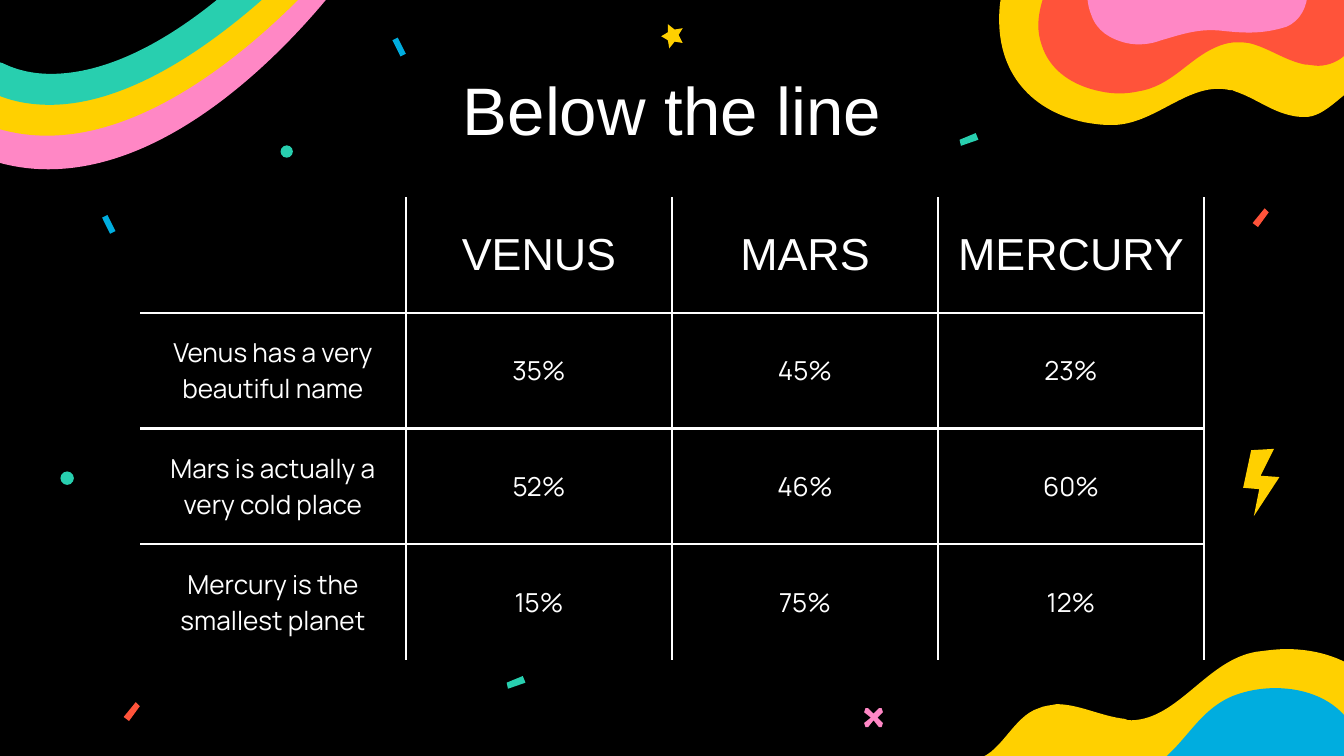
from dataclasses import dataclass

from lxml.etree import Element, SubElement
from pptx import Presentation
from pptx.dml.color import RGBColor
from pptx.enum.shapes import MSO_SHAPE
from pptx.enum.text import MSO_ANCHOR, PP_ALIGN
from pptx.oxml.ns import qn
from pptx.util import Pt


@dataclass(frozen=True)
class Theme:
    background: str = "000000"
    text: str = "FFFFFF"
    pink: str = "FF87C5"
    yellow: str = "FFD000"
    green: str = "28CFAF"
    blue: str = "00ADDF"
    red: str = "FF533A"
    heading_font: str = "Arial"
    body_font: str = "Manrope"
    title_size: float = 36
    heading_size: float = 24
    body_size: float = 14
    rule_width: float = 1.5
    inset: float = 7.2


THEME = Theme()
GRID = 0.72

RAINBOW = [
    (THEME.pink, [(226, -30), (151, 73, 84, 99, 36, 99), (2, 99, -23, 86, -34, 78),
                  (-40, 75, -44, 75, -49, 80), (-55, 85, -55, 94, -48, 98),
                  (-20, 118, 8, 126, 36, 126), (157, 126, 262, -25, 262, -25)]),
    (THEME.yellow, [(231, -60), (144, 50, 75, 74, 31, 74), (8, 74, -8, 67, -17, 63),
                    (-22, 60, -26, 61, -30, 64), (-37, 70, -36, 79, -29, 84),
                    (-8, 96, 14, 101, 35, 101), (153, 101, 269, -53, 269, -53)]),
    (THEME.green, [(243, -82), (147, 32, 78, 55, 38, 55), (20, 55, 8, 50, 2, 47),
                   (-3, 45, -7, 46, -11, 49), (-18, 54, -16, 65, -8, 68),
                   (6, 75, 21, 78, 37, 78), (147, 78, 270, -78, 270, -78)]),
]
LOWER_WAVES = [
    (THEME.yellow, [(1019, 635), (1009, 636, 982, 626, 975, 624), (960, 622, 946, 621, 932, 621),
                    (913, 621, 895, 623, 876, 627), (854, 631, 834, 635, 812, 635),
                    (791, 634, 761, 635, 752, 626), (724, 565),
                    (744, 564, 753, 533, 773, 527), (777, 525, 782, 525, 786, 524),
                    (803, 524, 819, 533, 837, 535), (838, 536, 840, 536, 842, 536),
                    (877, 535, 898, 491, 935, 485), (943, 484, 950, 483, 957, 483),
                    (1005, 483, 1042, 512, 1047, 567), (1049, 584, 1043, 629, 1022, 635)]),
    (THEME.blue, [(1011, 657), (761, 656), (735, 635, 735, 579, 771, 571),
                  (775, 570, 779, 570, 783, 570), (801, 570, 818, 577, 834, 577),
                  (843, 577, 851, 575, 860, 569), (882, 554, 891, 529, 917, 518),
                  (927, 514, 938, 512, 949, 512), (971, 512, 994, 520, 1006, 540),
                  (1019, 561, 1011, 585, 1008, 607), (1006, 621, 1003, 646, 1011, 657)]),
]
UPPER_WAVES = [
    (THEME.yellow, [(780, -51), (789, -49, 810, -36, 817, -33), (828, -29, 840, -25, 853, -23),
                    (869, -20, 885, -18, 902, -18), (921, -18, 939, -17, 958, -14),
                    (976, -9, 1002, -4, 1008, 5), (1021, 62),
                    (1004, 60, 991, 85, 973, 87), (968, 87, 965, 87, 961, 86),
                    (946, 83, 934, 73, 919, 68), (918, 67, 916, 67, 915, 67),
                    (884, 60, 859, 94, 826, 93), (819, 93, 813, 92, 807, 91),
                    (765, 82, 739, 51, 744, 3), (746, -12, 759, -49, 777, -51)]),
    (THEME.red, [(791, -68), (1006, -23), (1024, 0, 1014, 48, 981, 49),
                 (978, 49, 974, 48, 971, 48), (956, 45, 943, 35, 929, 32),
                 (921, 31, 914, 31, 905, 35), (884, 44, 872, 64, 847, 68),
                 (838, 70, 828, 70, 819, 68), (799, 64, 781, 53, 775, 33),
                 (768, 13, 778, -6, 785, -25), (789, -36, 796, -57, 791, -68)]),
    (THEME.pink, [(806, -87), (964, -39), (976, -23, 979, 11, 957, 20),
                  (941, 25, 928, 25, 910, 23), (893, 21, 881, 25, 864, 30),
                  (856, 33, 847, 34, 838, 32), (826, 29, 816, 23, 812, 11),
                  (807, -1, 809, -16, 813, -28), (820, -47, 819, -69, 806, -87)]),
]
SYMBOLS = [
    (THEME.yellow, [(497, 18), (497, 24), (492, 27), (497, 30), (498, 36),
                    (502, 31), (508, 32), (505, 26), (508, 21), (502, 22)]),
    (THEME.pink, [(646, 527), (644, 527), (643, 530), (648, 534), (643, 538), (644, 541),
                  (646, 541), (650, 536), (654, 541), (656, 541), (657, 538), (653, 534),
                  (657, 530), (656, 527), (654, 527), (650, 531)]),
    (THEME.yellow, [(948, 334), (931, 335), (925, 363), (937, 364), (933, 384),
                    (952, 355), (938, 354)]),
]
STRIPS = [
    (THEME.blue, [(4, 0), (0, 2), (6, 14), (10, 12)], [(76, 160), (292, 28)]),
    (THEME.red, [(9, 0), (0, 11), (4, 14), (12, 3)], [(932, 155), (92, 522.5)]),
    (THEME.green, [(12, 0), (0, 5), (1, 9.5), (14, 5)], [(377, 503), (714, 99)]),
]
DOTS = [(32.4, 252.6, 7.2), (150.3, 77.9, 6.6)]
ROWS = [
    ["", "VENUS", "MARS", "MERCURY"],
    ["Venus has a very beautiful name", "35%", "45%", "23%"],
    ["Mars is actually a very cold place", "52%", "46%", "60%"],
    ["Mercury is the smallest planet", "15%", "75%", "12%"],
]


def color(value):
    return RGBColor.from_string(value)


def paint(shape, fill_color):
    shape.shadow.inherit = False
    shape.fill.solid()
    shape.fill.fore_color.rgb = color(fill_color)
    shape.line.fill.background()


def bend_segments(shape, segments):
    lines = iter(list(shape._element.iter(qn("a:lnTo"))))
    for segment in segments:
        first = next(lines)
        if len(segment) == 2:
            continue
        curve = Element(qn("a:cubicBezTo"))
        first.addprevious(curve)
        for line in (first, next(lines), next(lines)):
            curve.append(line[0])
            line.getparent().remove(line)


def add_outline(slide, fill_color, outline):
    points = [(Pt(GRID * segment[index]), Pt(GRID * segment[index + 1]))
              for segment in outline for index in range(0, len(segment), 2)]
    builder = slide.shapes.build_freeform(*points[0])
    builder.add_line_segments(points[1:], close=True)
    shape = builder.convert_to_shape()
    bend_segments(shape, outline[1:])
    paint(shape, fill_color)


def add_strips(slide, fill_color, corners, origins):
    for left, top in origins:
        add_outline(slide, fill_color, [(left + x, top + y) for x, y in corners])


def add_dot(slide, left, top, size):
    paint(slide.shapes.add_shape(MSO_SHAPE.OVAL, Pt(left), Pt(top), Pt(size), Pt(size)), THEME.green)


def write(paragraph, text, font_name, size):
    paragraph.text = text
    paragraph.alignment = PP_ALIGN.CENTER
    paragraph.font.name = font_name
    paragraph.font.size = Pt(size)
    paragraph.font.bold = False
    paragraph.font.color.rgb = color(THEME.text)


def set_insets(target):
    target.margin_left = target.margin_right = Pt(THEME.inset)
    target.margin_top = target.margin_bottom = Pt(THEME.inset)
    target.vertical_anchor = MSO_ANCHOR.MIDDLE


def set_title(slide, text):
    title = slide.shapes.title
    title.left, title.top, title.width, title.height = Pt(56.2), Pt(35.3), Pt(607.7), Pt(45.4)
    set_insets(title.text_frame)
    write(title.text_frame.paragraphs[0], text, THEME.heading_font, THEME.title_size)


def set_borders(cell, visible):
    properties = cell._tc.get_or_add_tcPr()
    for side in "LRTB":
        line = SubElement(properties, qn(f"a:ln{side}"), w=str(Pt(THEME.rule_width)))
        if side in visible:
            fill = SubElement(line, qn("a:solidFill"))
            SubElement(fill, qn("a:srgbClr"), val=THEME.text)
        else:
            SubElement(line, qn("a:noFill"))


def add_planet_table(slide):
    row_count, column_count = len(ROWS), len(ROWS[0])
    table = slide.shapes.add_table(row_count, column_count, Pt(75), Pt(105.6),
                                   Pt(142.5 * column_count), Pt(62 * row_count)).table
    table.first_row = table.horz_banding = False
    for row, texts in enumerate(ROWS):
        font = (THEME.body_font, THEME.body_size) if row else (THEME.heading_font, THEME.heading_size)
        for column, text in enumerate(texts):
            cell = table.cell(row, column)
            set_insets(cell)
            set_borders(cell, "R" + "L" * (column > 0) + "T" * (row > 0) + "B" * (row < row_count - 1))
            cell.fill.background()
            if text:
                write(cell.text_frame.paragraphs[0], text, *font)


def main():
    presentation = Presentation()
    presentation.slide_width, presentation.slide_height = Pt(720), Pt(405)
    slide = presentation.slides.add_slide(presentation.slide_layouts[5])
    slide.background.fill.solid()
    slide.background.fill.fore_color.rgb = color(THEME.background)
    for fill_color, outline in RAINBOW + LOWER_WAVES + UPPER_WAVES + SYMBOLS:
        add_outline(slide, fill_color, outline)
    for fill_color, corners, origins in STRIPS:
        add_strips(slide, fill_color, corners, origins)
    for left, top, size in DOTS:
        add_dot(slide, left, top, size)
    set_title(slide, "Below the line")
    add_planet_table(slide)
    presentation.save("out.pptx")


if __name__ == "__main__":
    main()
